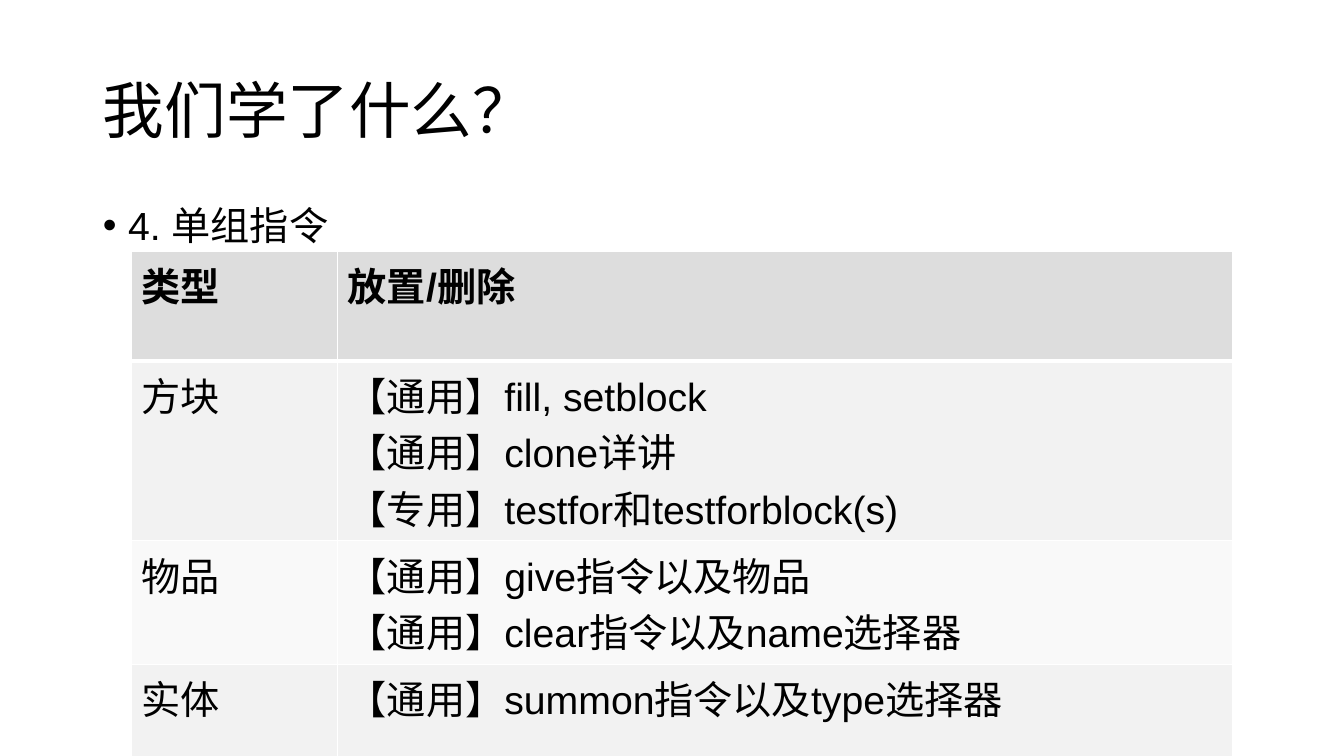
from lxml.etree import SubElement
from pptx import Presentation
from pptx.dml.color import RGBColor
from pptx.enum.text import MSO_ANCHOR, MSO_AUTO_SIZE, PP_ALIGN
from pptx.oxml.ns import qn
from pptx.util import Inches, Pt

COLORS = {
    "text": "000000",
    "border": "FFFFFF",
    "header": "DDDDDD",
    "odd": "F2F2F2",
    "even": "F9F9F9",
}
COMMANDS = [
    ("类型", ["放置/删除"]),
    ("方块", ["【通用】fill, setblock", "【通用】clone详讲", "【专用】testfor和testforblock(s)"]),
    ("物品", ["【通用】give指令以及物品", "【通用】clear指令以及name选择器"]),
    ("实体", ["【通用】summon指令以及type选择器"]),
]


def add_run(p, text, size, font="Arial", bold=False):
    r = p.add_run()
    r.text = text
    r.font.name = font
    r.font.size = Pt(size)
    r.font.bold = bold
    r.font.color.rgb = RGBColor.from_string(COLORS["text"])


def place(sp, box, anchor):
    sp.left, sp.top, sp.width, sp.height = map(Inches, box)
    tf = sp.text_frame
    tf.auto_size = MSO_AUTO_SIZE.NONE
    tf.vertical_anchor = anchor
    p = tf.paragraphs[0]
    p.alignment = PP_ALIGN.LEFT
    p.line_spacing = 0.9
    return p


def fill_title(s, box, text):
    p = place(s.shapes.title, box, MSO_ANCHOR.MIDDLE)
    add_run(p, text, 44, "Montserrat")


def fill_body(s, box, text):
    p = place(s.placeholders[1], box, MSO_ANCHOR.TOP)
    p.space_before = Pt(10)
    pPr = p._p.get_or_add_pPr()
    pPr.set("marL", str(Inches(0.25)))
    pPr.set("indent", str(Inches(-0.25)))
    SubElement(pPr, qn("a:buFont")).set("typeface", "Arial")
    SubElement(pPr, qn("a:buChar")).set("char", "•")
    add_run(p, text, 28)


def set_borders(cell, widths):
    tcPr = cell._tc.get_or_add_tcPr()
    for side, width in widths.items():
        ln = SubElement(tcPr, qn(f"a:ln{side}"), w=str(Pt(width)))
        fill = SubElement(ln, qn("a:solidFill"))
        SubElement(fill, qn("a:srgbClr"), val=COLORS["border"])


def fill_cell(cell, lines, row):
    set_borders(cell, {"L": 1, "R": 1, "T": 3 if row == 1 else 1, "B": 3 if row == 0 else 1})
    shade = "header" if row == 0 else "odd" if row % 2 else "even"
    cell.fill.solid()
    cell.fill.fore_color.rgb = RGBColor.from_string(COLORS[shade])
    tf = cell.text_frame
    for i, line in enumerate(lines):
        p = tf.add_paragraph() if i else tf.paragraphs[0]
        add_run(p, line, 28, bold=row == 0)


def add_command_table(s, box, commands):
    left, top, width, row_height = map(Inches, box)
    rows = len(commands)
    table = s.shapes.add_table(rows, 2, left, top, width, row_height * rows).table
    table.columns[0].width = Inches(2.05)
    table.columns[1].width = width - Inches(2.05)
    for row, (kind, lines) in enumerate(commands):
        table.rows[row].height = row_height
        fill_cell(table.cell(row, 0), [kind], row)
        fill_cell(table.cell(row, 1), lines, row)


def main():
    prs = Presentation()
    prs.slide_width, prs.slide_height = Inches(13.33), Inches(7.5)
    s = prs.slides.add_slide(prs.slide_layouts[1])
    fill_title(s, (0.92, 0.4, 11.5, 1.45), "我们学了什么？")
    fill_body(s, (0.92, 2, 11.5, 4.76), "4. 单组指令")
    add_command_table(s, (1.3, 2.49, 10.93, 1.09), COMMANDS)
    prs.save("out.pptx")


if __name__ == "__main__":
    main()
